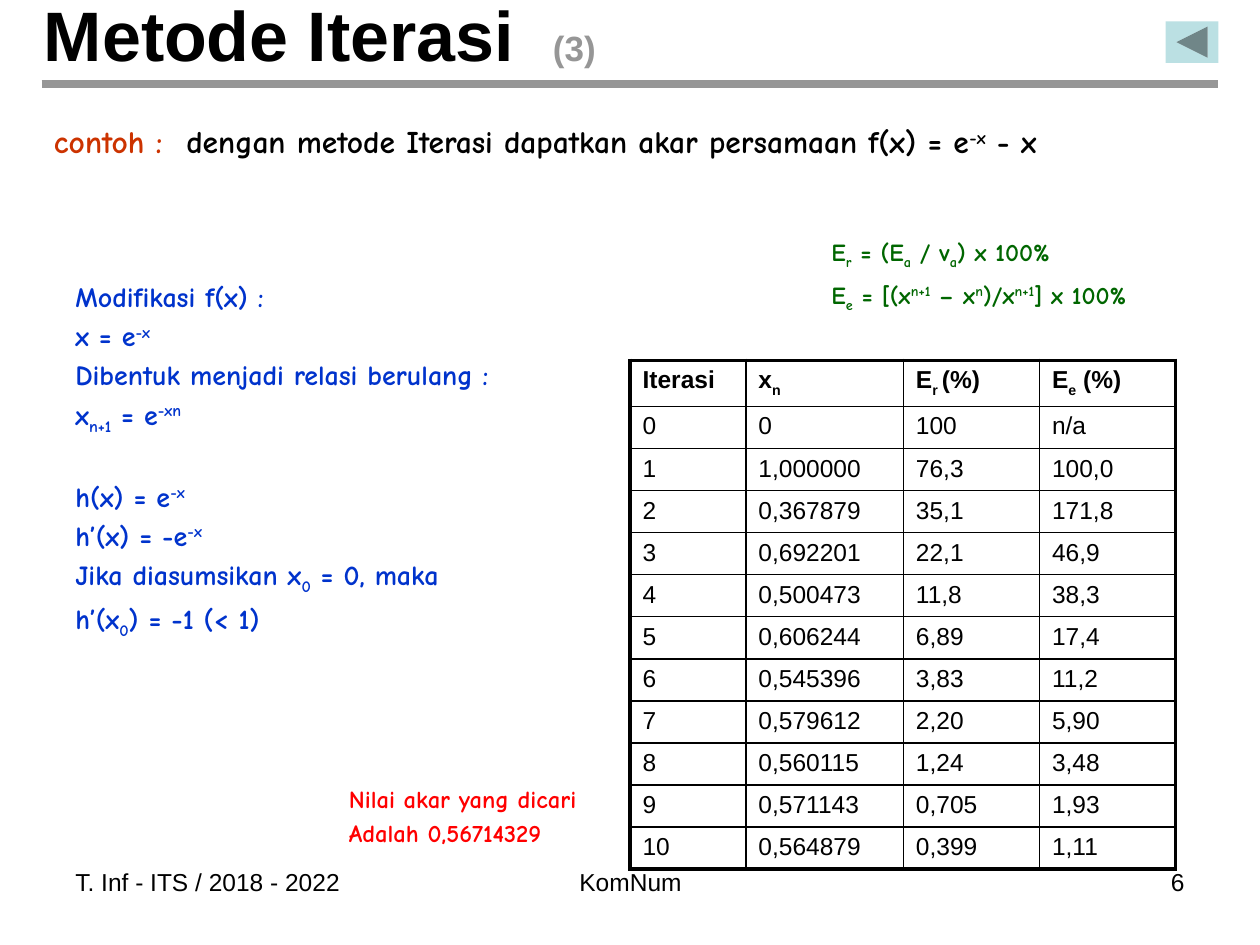
from lxml.etree import SubElement
from pptx import Presentation
from pptx.dml.color import RGBColor
from pptx.enum.shapes import MSO_CONNECTOR, MSO_SHAPE
from pptx.enum.text import MSO_ANCHOR, PP_ALIGN
from pptx.oxml.ns import qn
from pptx.util import Inches, Pt

COLORS = {
    "black": "000000",
    "gray": "969696",
    "rust": "CC3300",
    "blue": "0033CC",
    "red": "FF0000",
    "green": "006600",
    "button": "BBE0E3",
}
SANS, HAND = "Arial", "Comic Neue"
SHIFTS = {"^": "30000", "_": "-25000"}

STEPS = [
    "Modifikasi f(x) :",
    "x = e|^-x",
    "Dibentuk menjadi relasi berulang :",
    "x|_n+1| = e|^-xn",
    "h(x) = e|^-x",
    "h’(x) = -e|^-x",
    "Jika diasumsikan x|_0| = 0, maka",
    "h’(x|_0|) = -1 (< 1)",
]
ROWS = [
    ("Iterasi", "x|_n", "E|_r |(%)", "E|_e| (%)"),
    ("0", "0", "100", "n/a"),
    ("1", "1,000000", "76,3", "100,0"),
    ("2", "0,367879", "35,1", "171,8"),
    ("3", "0,692201", "22,1", "46,9"),
    ("4", "0,500473", "11,8", "38,3"),
    ("5", "0,606244", "6,89", "17,4"),
    ("6", "0,545396", "3,83", "11,2"),
    ("7", "0,579612", "2,20", "5,90"),
    ("8", "0,560115", "1,24", "3,48"),
    ("9", "0,571143", "0,705", "1,93"),
    ("10", "0,564879", "0,399", "1,11"),
]


def rgb(name):
    return RGBColor.from_string(COLORS[name])


def add_runs(para, text, size, color, font=SANS, bold=False):
    """Split text at bars; a part led by ^ is raised, one led by _ lowered."""
    for part in text.split("|"):
        run = para.add_run()
        shift = SHIFTS.get(part[0])
        run.text = part[1:] if shift else part
        run.font.size = Pt(size)
        run.font.name = font
        run.font.bold = bold
        run.font.color.rgb = rgb(color)
        if shift:
            run.font._element.set("baseline", shift)


def add_tab(para, place):
    tabs = SubElement(para._p.get_or_add_pPr(), qn("a:tabLst"))
    SubElement(tabs, qn("a:tab"), pos=str(Inches(place)), algn="l")


def add_box(slide, left, top, width, height):
    box = slide.shapes.add_textbox(
        Inches(left), Inches(top), Inches(width), Inches(height))
    box.text_frame.word_wrap = True
    return box.text_frame


def add_lines(frame, lines, size, color, font=HAND, bold=True, gap=0):
    for i, line in enumerate(lines):
        para = frame.add_paragraph() if i else frame.paragraphs[0]
        if i:
            para.space_before = Pt(gap)
        add_runs(para, line, size, color, font, bold)


def add_title(slide):
    frame = add_box(slide, 0.25, 0, 9, 0.53)
    frame.vertical_anchor = MSO_ANCHOR.MIDDLE
    para = frame.paragraphs[0]
    add_tab(para, 4.04)
    add_runs(para, "Metode Iterasi\t", 40, "black", bold=True)
    add_runs(para, "(3)", 20, "gray", bold=True)


def add_rule(slide):
    rule = slide.shapes.add_connector(
        MSO_CONNECTOR.STRAIGHT,
        Inches(0.33), Inches(0.67), Inches(9.67), Inches(0.67))
    rule.line.color.rgb = rgb("gray")
    rule.line.width = Pt(4.5)
    SubElement(rule._element.spPr, qn("a:effectLst"))


def add_button(slide):
    button = slide.shapes.add_shape(
        MSO_SHAPE.ACTION_BUTTON_BACK_OR_PREVIOUS,
        Inches(9.25), Inches(0.17), Inches(0.42), Inches(0.33))
    button.shadow.inherit = False
    button.fill.solid()
    button.fill.fore_color.rgb = rgb("button")
    button.line.fill.background()


def add_task(slide):
    para = add_box(slide, 0.33, 0.92, 9.42, 0.42).paragraphs[0]
    add_tab(para, 1.05)
    add_runs(para, "contoh :\t", 18, "rust", HAND, True)
    add_runs(para, "dengan metode Iterasi dapatkan akar persamaan "
             "f(x) = e|^-x| - x", 18, "black", HAND, True)


def set_borders(cell, outer):
    """Draw four borders, heavy on the sides that lie on the outer edge."""
    props = cell._tc.get_or_add_tcPr()
    for side, heavy in zip("LRTB", outer):
        line = SubElement(props, qn("a:ln" + side),
                          w=str(Pt(2.25 if heavy else 1)))
        fill = SubElement(line, qn("a:solidFill"))
        SubElement(fill, qn("a:srgbClr"), val=COLORS["black"])


def add_grid(slide):
    widths = [0.92, 1.25, 1.08, 1.08]
    head, body = 0.36, 3.67
    table = slide.shapes.add_table(
        len(ROWS), len(widths), Inches(5), Inches(2.86),
        Inches(sum(widths)), Inches(head + body)).table
    table.first_row = table.horz_banding = False
    for col, width in zip(table.columns, widths):
        col.width = Inches(width)
    end, last = len(ROWS) - 1, len(widths) - 1
    for r, values in enumerate(ROWS):
        table.rows[r].height = Inches(body / end if r else head)
        for c, value in enumerate(values):
            cell = table.cell(r, c)
            set_borders(cell, (c == 0, c == last, r == 0, r == end))
            cell.fill.background()
            para = cell.text_frame.paragraphs[0]
            add_runs(para, value, 14, "black", bold=r == 0)


def add_footer(slide):
    for left, width, text, align in (
            (0.5, 2.33, "T. Inf - ITS / 2018 - 2022", PP_ALIGN.LEFT),
            (3.42, 3.17, "KomNum", PP_ALIGN.CENTER),
            (7.17, 2.33, "6", PP_ALIGN.RIGHT)):
        frame = add_box(slide, left, 6.83, width, 0.52)
        add_lines(frame, [text], 14, "black", SANS, False)
        frame.paragraphs[0].alignment = align


def main():
    deck = Presentation()
    deck.slide_width, deck.slide_height = Inches(10), Inches(7.5)
    slide = deck.slides.add_slide(deck.slide_layouts[6])
    add_footer(slide)
    add_title(slide)
    add_rule(slide)
    add_task(slide)
    steps = add_box(slide, 0.5, 2.17, 4, 3.08)
    add_lines(steps, STEPS, 16, "blue", gap=3.2)
    steps.paragraphs[4].space_before = Pt(25)
    add_grid(slide)
    add_lines(add_box(slide, 2.67, 6.17, 2.28, 0.63),
              ["Nilai akar yang dicari", "Adalah 0,56714329"],
              14, "red", gap=2.8)
    add_button(slide)
    for top, text in (
            (2.17, "E|_e| = [(x|^n+1| – x|^n|)/x|^n+1|] x 100%"),
            (1.83, "E|_r| = (E|_a| / v|_a|) x 100%")):
        add_lines(add_box(slide, 6.5, top, 3, 0.33), [text], 14, "green")
    deck.save("out.pptx")


if __name__ == "__main__":
    main()
